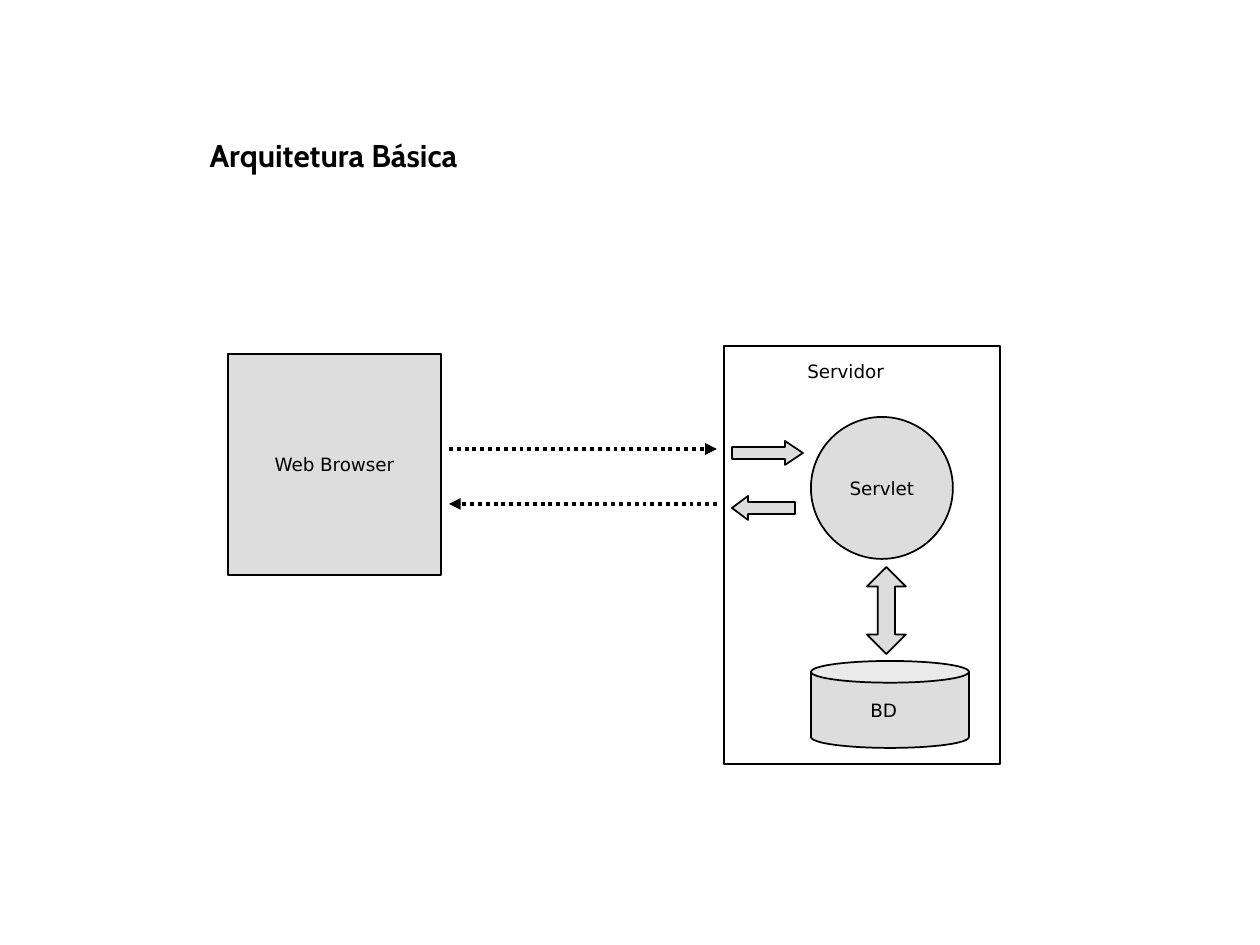
from lxml import etree
from pptx import Presentation
from pptx.dml.color import RGBColor
from pptx.enum.dml import MSO_LINE
from pptx.enum.shapes import MSO_CONNECTOR, MSO_SHAPE
from pptx.enum.text import MSO_ANCHOR, MSO_AUTO_SIZE, PP_ALIGN
from pptx.oxml.ns import qn
from pptx.util import Emu, Pt

RECTANGLE, CIRCLE, CYLINDER = MSO_SHAPE.RECTANGLE, MSO_SHAPE.OVAL, MSO_SHAPE.CAN
RIGHT, LEFT = MSO_SHAPE.RIGHT_ARROW, MSO_SHAPE.LEFT_ARROW
UP_DOWN = MSO_SHAPE.UP_DOWN_ARROW
STRAIGHT, DOTTED = MSO_CONNECTOR.STRAIGHT, MSO_LINE.ROUND_DOT
TOP, MIDDLE = MSO_ANCHOR.TOP, MSO_ANCHOR.MIDDLE
ALIGN_LEFT, ALIGN_CENTER = PP_ALIGN.LEFT, PP_ALIGN.CENTER
NO_AUTOFIT, GROW = MSO_AUTO_SIZE.NONE, MSO_AUTO_SIZE.SHAPE_TO_FIT_TEXT

PIXEL = 914400 // 126
BLACK, GREY = "000000", "DDDDDD"
TITLE_FONT, LABEL_FONT = "Cabin", "DejaVu Sans"

TITLE = ("Arquitetura Básica", (197, 130, 811, 58))
# kind, (left, top, width, height), fill, adjustments, text
SHAPES = [
    (CIRCLE, (811, 417, 142, 142), GREY, (), "Servlet"),
    (RECTANGLE, (228, 354, 213, 221), GREY, (), "Web Browser"),
    (RECTANGLE, (724, 346, 276, 418), None, (), ""),
    (RIGHT, (732, 441, 71, 24), GREY, (0.5, 0.75), ""),
    (LEFT, (732, 496, 63, 24), GREY, (0.5, 0.67), ""),
    (UP_DOWN, (867, 567, 39, 87), GREY, (0.5, 0.44), ""),
    (CYLINDER, (811, 661, 158, 87), GREY, (0.25,), ""),
]
LABELS = [
    ("Servidor", (795, 354, 103, 35)),
    ("BD", (858, 693, 53, 35)),
]
# from x, to x, y
MESSAGES = [(449, 717, 449), (717, 449, 504)]


def color(value):
    """Turn a hex string into a colour."""
    return RGBColor.from_string(value)


def scaled(pixels):
    """Turn pixel lengths into EMU."""
    return [Emu(length * PIXEL) for length in pixels]


def write(shape, text, size, font, align, anchor, wrap=False, bold=False):
    """Put one formatted run into a shape."""
    frame = shape.text_frame
    frame.word_wrap = wrap
    frame.vertical_anchor = anchor
    paragraph = frame.paragraphs[0]
    paragraph.alignment = align
    run = paragraph.add_run()
    run.text = text
    run.font.name = font
    run.font.size = Pt(size)
    run.font.bold = bold
    run.font.color.rgb = color(BLACK)


def add_title(slide, text, box):
    """Move the title placeholder and fill it."""
    title = slide.shapes.title
    title.left, title.top, title.width, title.height = scaled(box)
    write(title, text, 18, TITLE_FONT, ALIGN_LEFT, TOP, wrap=True, bold=True)
    title.text_frame.auto_size = NO_AUTOFIT


def add_outlined(slide, kind, box, fill, adjustments, text):
    """Add a black-outlined shape with an optional centred label."""
    shape = slide.shapes.add_shape(kind, *scaled(box))
    shape.shadow.inherit = False
    for index, value in enumerate(adjustments):
        shape.adjustments[index] = value
    if fill:
        shape.fill.solid()
        shape.fill.fore_color.rgb = color(fill)
    else:
        shape.fill.background()
    shape.line.color.rgb = color(BLACK)
    shape.line.width = Pt(1)
    if text:
        write(shape, text, 10.5, LABEL_FONT, ALIGN_CENTER, MIDDLE)


def add_label(slide, text, box):
    """Add a free-standing label."""
    label = slide.shapes.add_textbox(*scaled(box))
    write(label, text, 10.5, LABEL_FONT, ALIGN_LEFT, TOP)
    label.text_frame.auto_size = GROW


def add_message(slide, start, end, y):
    """Add a dotted horizontal arrow."""
    arrow = slide.shapes.add_connector(STRAIGHT, *scaled((start, y, end, y)))
    arrow.line.color.rgb = color(BLACK)
    arrow.line.width = Pt(2.25)
    arrow.line.dash_style = DOTTED
    properties = arrow.line._get_or_add_ln()
    etree.SubElement(properties, qn("a:tailEnd"), type="triangle")
    etree.SubElement(properties.getparent(), qn("a:effectLst"))


presentation = Presentation()
presentation.slide_width, presentation.slide_height = scaled((1260, 945))
slide = presentation.slides.add_slide(presentation.slide_layouts[5])
add_title(slide, *TITLE)
for shape_data in SHAPES:
    add_outlined(slide, *shape_data)
for label_data in LABELS:
    add_label(slide, *label_data)
for message in MESSAGES:
    add_message(slide, *message)
presentation.save("out.pptx")
